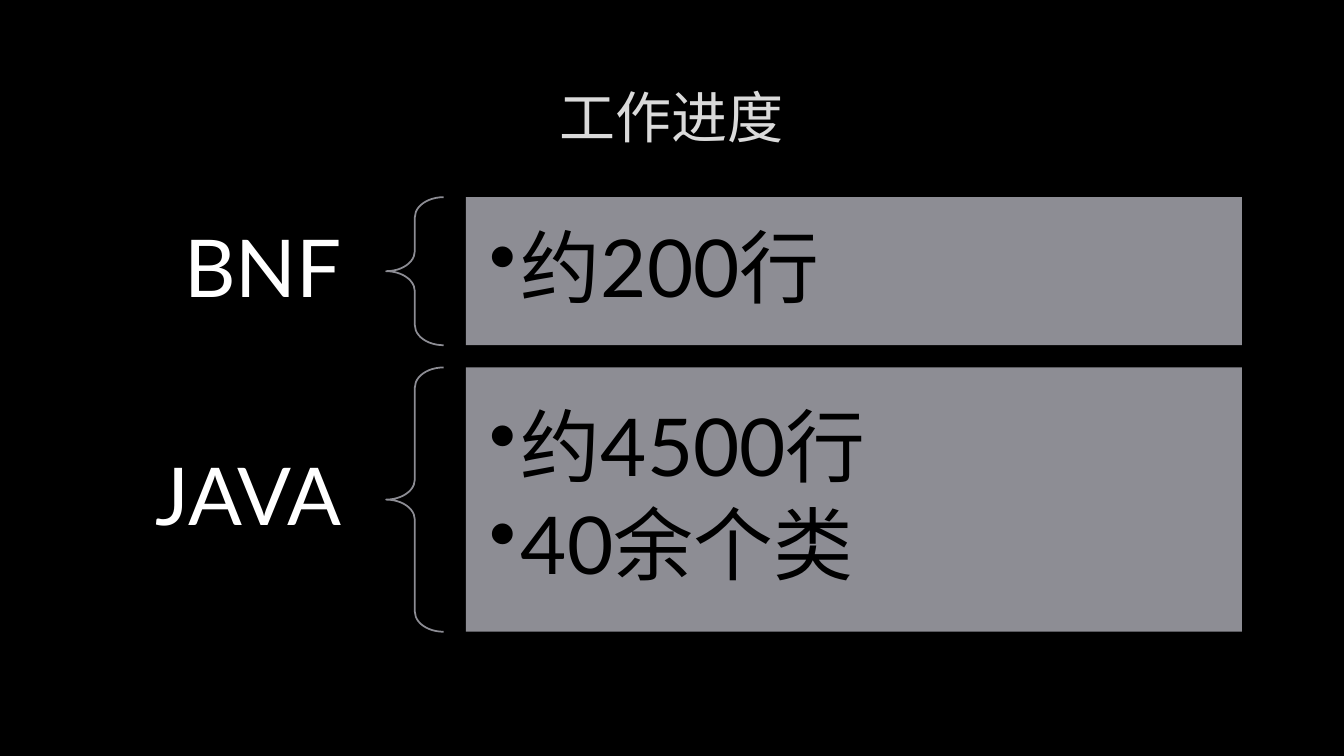
import dataclasses

import pptx
import pptx.dml.color
import pptx.enum.shapes
import pptx.enum.text
import pptx.oxml.ns
import pptx.util
from lxml import etree

Cm = pptx.util.Cm
Pt = pptx.util.Pt
Align = pptx.enum.text.PP_ALIGN
Preset = pptx.enum.shapes.MSO_SHAPE


def rgb(value):
    return pptx.dml.color.RGBColor.from_string(value)


@dataclasses.dataclass(frozen=True)
class Theme:
    font: str = "Lato"
    background: str = "000000"
    title: str = "DADADA"
    label: str = "FFFFFF"
    panel: str = "8D8D94"
    item: str = "000000"
    title_size: float = 40
    body_size: float = 57
    brace_width: float = 1.25


class ProgressSlide:
    LEFT, LABEL_WIDTH, LABEL_HEIGHT = 2.54, 7.19, 3.12
    BRACE_WIDTH, GAP = 1.45, 0.56
    PANEL_WIDTH = 19.56

    def __init__(self, deck, theme):
        self.theme = theme
        self.slide = deck.slides.add_slide(deck.slide_layouts[6])
        fill = self.slide.background.fill
        fill.solid()
        fill.fore_color.rgb = rgb(theme.background)

    def set_text(self, shape, lines, size, color, align, insets):
        """Fill a shape with vertically centred paragraphs; insets are (side, top) in cm."""
        frame = shape.text_frame
        frame.word_wrap = True
        frame.vertical_anchor = pptx.enum.text.MSO_ANCHOR.MIDDLE
        frame.margin_left = frame.margin_right = Cm(insets[0])
        frame.margin_top = frame.margin_bottom = Cm(insets[1])
        for index, line in enumerate(lines):
            para = frame.add_paragraph() if index else frame.paragraphs[0]
            para.text = line
            para.alignment = align
            para.line_spacing = 0.9
            para.font.name = self.theme.font
            para.font.size = Pt(size)
            para.font.color.rgb = rgb(color)
        return frame.paragraphs

    def text(self, left, top, width, height, line, size, color, align, insets):
        box = self.slide.shapes.add_textbox(Cm(left), Cm(top), Cm(width), Cm(height))
        self.set_text(box, [line], size, color, align, insets)

    def title(self, line):
        self.text(self.LEFT, 1.7, 28.75, 2.69, line, self.theme.title_size,
                  self.theme.title, Align.CENTER, (0.25, 0.13))

    def shape(self, preset, left, top, width, height):
        shape = self.slide.shapes.add_shape(preset, Cm(left), Cm(top), Cm(width), Cm(height))
        shape.shadow.inherit = False
        return shape

    def brace(self, left, top, height):
        brace = self.shape(Preset.LEFT_BRACE, left, top, self.BRACE_WIDTH, height)
        brace.adjustments[0] = 0.35
        brace.adjustments[1] = 0.5
        brace.fill.background()
        brace.line.color.rgb = rgb(self.theme.panel)
        brace.line.width = Pt(self.theme.brace_width)

    def panel(self, left, top, height, items):
        panel = self.shape(Preset.RECTANGLE, left, top, self.PANEL_WIDTH, height)
        panel.fill.solid()
        panel.fill.fore_color.rgb = rgb(self.theme.panel)
        panel.line.fill.background()
        paragraphs = self.set_text(panel, items, self.theme.body_size, self.theme.item,
                                   Align.LEFT, (0.6, 0.6))
        for para in paragraphs:
            para.space_after = Pt(8.5)
            self.bullet(para)

    def bullet(self, para):
        properties = para._p.get_or_add_pPr()
        indent = Cm(0.79)
        properties.set("marL", str(indent))
        properties.set("indent", str(-indent))
        mark = etree.Element(pptx.oxml.ns.qn("a:buChar"), char="•")
        properties.find(pptx.oxml.ns.qn("a:spcAft")).addnext(mark)

    def topic(self, top, height, name, items):
        """Draw one row: a label, a brace and a panel of bullets."""
        brace_left = self.LEFT + self.LABEL_WIDTH
        self.text(self.LEFT, top + (height - self.LABEL_HEIGHT) / 2,
                  self.LABEL_WIDTH, self.LABEL_HEIGHT, name, self.theme.body_size,
                  self.theme.label, Align.RIGHT, (1.12, 0.41))
        self.brace(brace_left, top, height)
        self.panel(brace_left + self.BRACE_WIDTH + self.GAP, top, height, items)


def main():
    deck = pptx.Presentation()
    deck.slide_width = Cm(33.87)
    deck.slide_height = Cm(19.05)
    page = ProgressSlide(deck, Theme())
    page.title("工作进度")
    topics = [
        ("BNF", 3.73, ["约200行"]),
        ("JAVA", 6.66, ["约4500行", "40余个类"]),
    ]
    top = 4.97
    for name, height, items in topics:
        page.topic(top, height, name, items)
        top += height + page.GAP
    deck.save("out.pptx")


if __name__ == "__main__":
    main()
